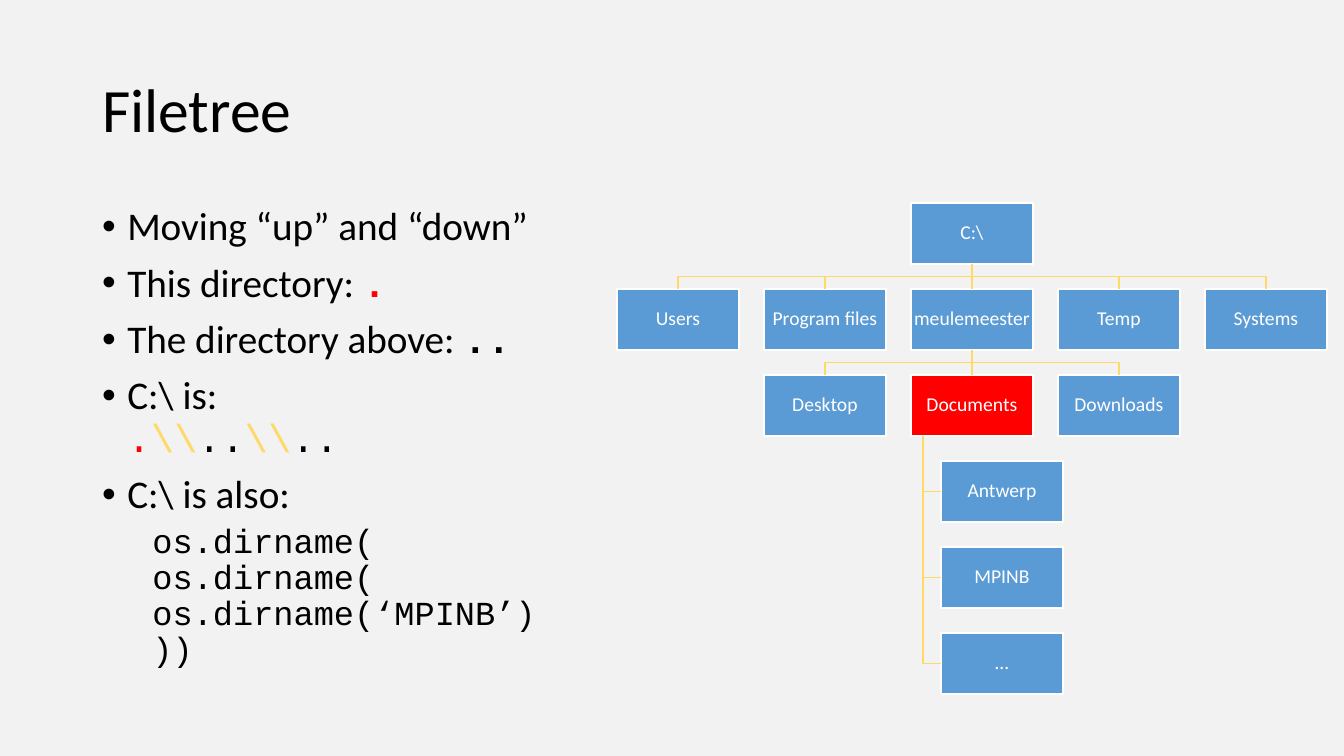
from copy import deepcopy

from lxml import etree
from pptx import Presentation
from pptx import util as u
from pptx.dml.color import RGBColor
from pptx.enum import shapes, text
from pptx.oxml.ns import qn

PX = 914400 / 100.8
COLORS = {"back": "F2F2F2", "black": "000000", "red": "FF0000",
          "yellow": "FFD966", "blue": "5B9BD5", "white": "FFFFFF"}


def px(n):
    return u.Emu(round(n * PX))


def add_text(p, words, color="black", name="Calibri", **font):
    """Add a run for each line of the words, with line breaks between."""
    for i, line in enumerate(words.split("\n")):
        if i:
            p.add_line_break()
            p._p[-1].append(deepcopy(r._r.rPr))
        r = p.add_run()
        r.text = line
        for key, value in {"name": name, **font}.items():
            setattr(r.font, key, value)
        r.font.color.rgb = RGBColor.from_string(COLORS[color])


prs = Presentation()
prs.slide_width, prs.slide_height = px(1344), px(756)
s = prs.slides.add_slide(prs.slide_layouts[1])
s.background.fill.solid()
s.background.fill.fore_color.rgb = RGBColor.from_string(COLORS["back"])

# Title and body places
title, body = s.placeholders
for sp, top, height, anchor in ((title, 40, 146, text.MSO_ANCHOR.MIDDLE),
                                (body, 202, 480, text.MSO_ANCHOR.TOP)):
    sp.left, sp.top, sp.width, sp.height = px(92), px(top), px(1159), px(height)
    sp.text_frame.auto_size = text.MSO_AUTO_SIZE.NONE
    sp.text_frame.vertical_anchor = anchor

p = title.text_frame.paragraphs[0]
p.alignment, p.line_spacing = text.PP_ALIGN.LEFT, 0.9
add_text(p, "Filetree", size=u.Pt(44))

# Body list: level, then runs of words, colour, font and bold
CODE = "Courier New"
items = [
    (0, [("Moving “up” and “down”",)]),
    (0, [("This directory: ",), (".", "red", CODE, True)]),
    (0, [("The directory above: ",), ("..", "black", CODE, True)]),
    (0, [("C:\\ is:\n",), (".", "red", CODE), ("\\\\", "yellow", CODE),
         ("..", "black", CODE), ("\\\\", "yellow", CODE), ("..", "black", CODE)]),
    (0, [("C:\\ is also:",)]),
    (1, [("os.dirname(\nos.dirname(\nos.dirname(‘MPINB’)\n))", "black", CODE)]),
]
tf = body.text_frame
for i, (level, runs) in enumerate(items):
    p = tf.add_paragraph() if i else tf.paragraphs[0]
    p.level, p.line_spacing = level, 0.9
    p.space_before, p.space_after = u.Pt(5 if level else 10), u.Pt(0)
    pPr = p._p.get_or_add_pPr()
    pPr.set("marL", str(u.Inches(0.5 if level else 0.25)))
    pPr.set("indent", str(u.Inches(0 if level else -0.25)))
    if level:
        etree.SubElement(pPr, qn("a:buNone"))
    else:
        etree.SubElement(pPr, qn("a:buChar")).set("char", "•")
    for words, color, name, bold in (run + ("black", "Calibri", False)[len(run) - 1:]
                                     for run in runs):
        add_text(p, words, color, name, bold=bold, size=u.Pt(24 if level else 28))

# File tree: folder, parent, column, row
LEFT, TOP, WIDTH, HEIGHT = 617, 203, 122, 61
COL_STEP, ROW_STEP, INDENT, STEM = 147, 86, 30, 12
folders = [
    ("C:\\", None, 2, 0),
    ("Users", "C:\\", 0, 1),
    ("Program files", "C:\\", 1, 1),
    ("meulemeester", "C:\\", 2, 1),
    ("Temp", "C:\\", 3, 1),
    ("Systems", "C:\\", 4, 1),
    ("Desktop", "meulemeester", 1, 2),
    ("Documents", "meulemeester", 2, 2),
    ("Downloads", "meulemeester", 3, 2),
    ("Antwerp", "Documents", 2, 3),
    ("MPINB", "Documents", 2, 4),
    ("…", "Documents", 2, 5),
]
boxes = {}
for folder, parent, col, row in folders:
    x = LEFT + col * COL_STEP + (INDENT if row > 2 else 0)
    y = TOP + row * ROW_STEP
    sp = s.shapes.add_shape(shapes.MSO_SHAPE.RECTANGLE,
                            px(x), px(y), px(WIDTH), px(HEIGHT))
    boxes[folder] = sp, x, y
    sp.shadow.inherit = False
    sp.fill.solid()
    fill = "red" if folder == "Documents" else "blue"
    sp.fill.fore_color.rgb = RGBColor.from_string(COLORS[fill])
    sp.line.color.rgb = RGBColor.from_string(COLORS["white"])
    sp.line.width = u.Pt(1)
    tf = sp.text_frame
    for side in ("left", "right", "top", "bottom"):
        setattr(tf, f"margin_{side}", px(1))
    tf.vertical_anchor = text.MSO_ANCHOR.MIDDLE
    p = tf.paragraphs[0]
    p.alignment, p.line_spacing = text.PP_ALIGN.CENTER, 0.9
    add_text(p, folder, "white", size=u.Pt(14))

# Branches: straight down, forked, or hanging from a stem
for folder, parent, col, row in folders[1:]:
    child, x, y = boxes[folder]
    above, parent_x, parent_y = boxes[parent]
    bottom = parent_y + HEIGHT
    if x == parent_x:
        sp = s.shapes.add_connector(shapes.MSO_CONNECTOR.STRAIGHT, 0, 0, 0, 0)
        sp.begin_connect(above, 2)
        sp.end_connect(child, 0)
        etree.SubElement(sp._element.spPr, qn("a:effectLst"))
    else:
        if row > 2:
            stem, middle = parent_x + STEM, y + HEIGHT / 2
            points = [(stem, bottom), (stem, middle), (x, middle)]
        else:
            start, end = parent_x + WIDTH / 2, x + WIDTH / 2
            middle = (bottom + y) / 2
            points = [(start, bottom), (start, middle), (end, middle), (end, y)]
        points = [(px(a), px(b)) for a, b in points]
        ff = s.shapes.build_freeform(*points[0])
        ff.add_line_segments(points[1:], close=False)
        sp = ff.convert_to_shape()
        sp.fill.background()
        sp.shadow.inherit = False
    sp.line.color.rgb = RGBColor.from_string(COLORS["yellow"])
    sp.line.width = u.Pt(1)

prs.save("out.pptx")
